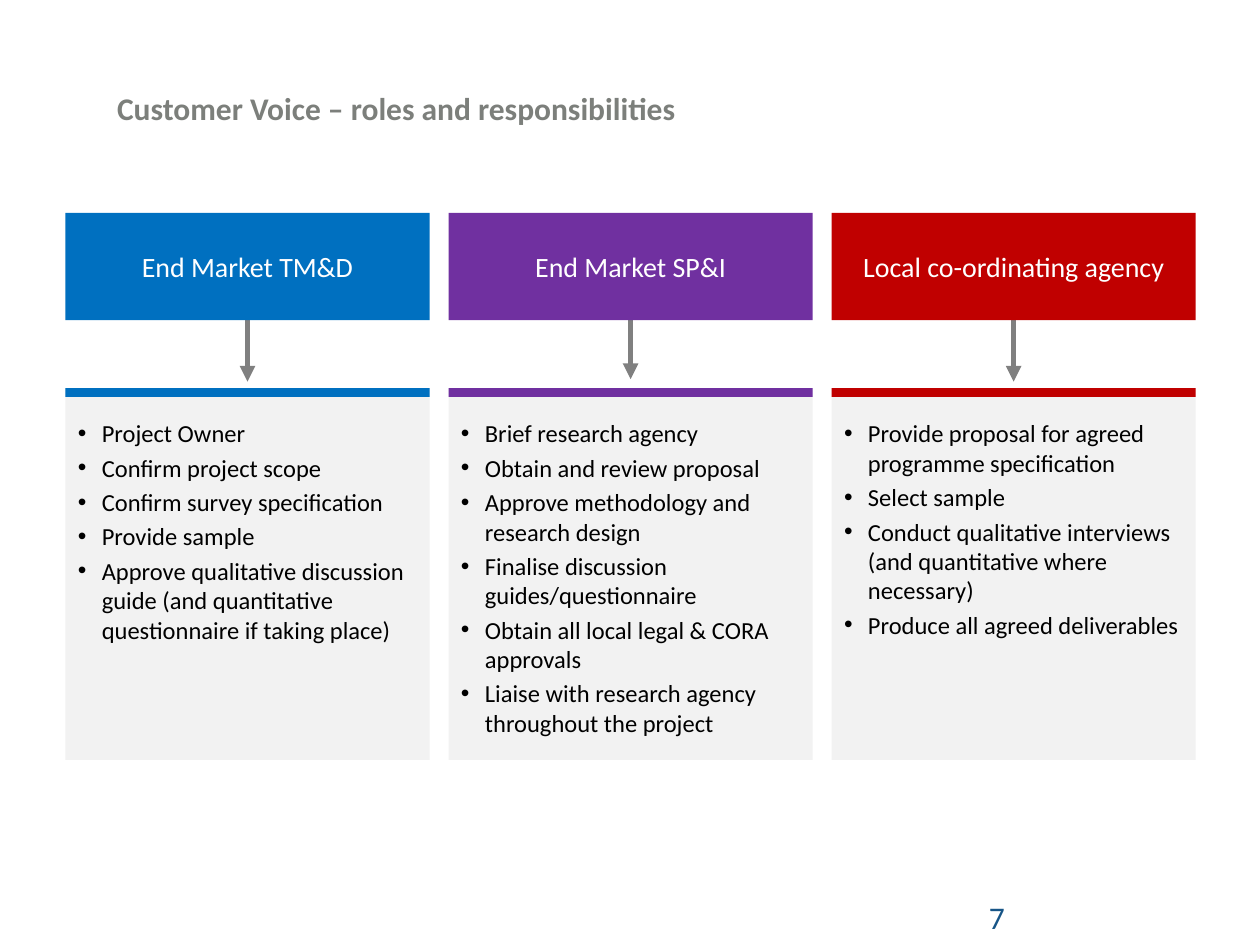
from lxml import etree
from pptx import Presentation
from pptx.dml.color import RGBColor
from pptx.enum import shapes, text
from pptx.oxml.ns import qn
from pptx.util import Pt

BLUE = RGBColor(0x00, 0x70, 0xC0)
PURPLE = RGBColor(0x70, 0x30, 0xA0)
RED = RGBColor(0xC0, 0x00, 0x00)
PANEL = RGBColor(0xF2, 0xF2, 0xF2)
ARROW = RGBColor(0x80, 0x80, 0x80)
TITLE = RGBColor(0x7C, 0x7F, 0x7B)
NUMBER = RGBColor(0x17, 0x55, 0x87)
WHITE = RGBColor(0xFF, 0xFF, 0xFF)
BLACK = RGBColor(0x00, 0x00, 0x00)

# Column grid, in points
LEFT, PITCH, WIDTH = 37.4, 218.9, 208.1
HEAD_TOP, HEAD_H = 121.7, 61.2
PANEL_TOP, PANEL_H, STRIPE_H = 221.8, 212.4, 5
ARROW_H, INDENT = 36.7, 13.7

# Heading, colour, arrow top, duties
ROLES = [
    ("End Market TM&D", BLUE, 181.4, [
        "Project Owner",
        "Confirm project scope",
        "Confirm survey specification",
        "Provide sample",
        "Approve qualitative discussion guide (and quantitative "
        "questionnaire if taking place)"]),
    ("End Market SP&I", PURPLE, 180, [
        "Brief research agency",
        "Obtain and review proposal",
        "Approve methodology and research design",
        "Finalise discussion guides/questionnaire",
        "Obtain all local legal & CORA approvals",
        "Liaise with research agency throughout the project"]),
    ("Local co-ordinating agency", RED, 181.4, [
        "Provide proposal for agreed programme specification",
        "Select sample",
        "Conduct qualitative interviews (and quantitative where necessary)",
        "Produce all agreed deliverables"]),
]


def apply(obj, **values):
    for name, value in values.items():
        setattr(obj, name, value)


def write(p, words, size, color, bold=False):
    r = p.add_run()
    r.text = words
    apply(r.font, name="Calibri", size=Pt(size), bold=bold)
    r.font.color.rgb = color


def add_rect(s, x, y, w, h, fill):
    sp = s.shapes.add_shape(shapes.MSO_SHAPE.RECTANGLE,
                            Pt(x), Pt(y), Pt(w), Pt(h))
    sp.shadow.inherit = False
    sp.fill.solid()
    sp.fill.fore_color.rgb = fill
    sp.line.fill.background()
    return sp


def add_label(s, x, y, w, h, words, color, bold=False,
              anchor=text.MSO_ANCHOR.TOP):
    tf = s.shapes.add_textbox(Pt(x), Pt(y), Pt(w), Pt(h)).text_frame
    apply(tf, word_wrap=True, vertical_anchor=anchor)
    write(tf.paragraphs[0], words, 18, color, bold)


def add_arrow(s, x, y, h):
    line = s.shapes.add_connector(shapes.MSO_CONNECTOR.STRAIGHT,
                                  Pt(x), Pt(y), Pt(x), Pt(y + h))
    line.line.color.rgb = ARROW
    line.line.width = Pt(3)
    etree.SubElement(line.line._get_or_add_ln(), qn("a:tailEnd"),
                     type="triangle")
    etree.SubElement(line._element.spPr, qn("a:effectLst"))


def add_heading(s, x, words, fill):
    sp = add_rect(s, x, HEAD_TOP, WIDTH, HEAD_H, fill)
    tf = sp.text_frame
    apply(tf, word_wrap=True, vertical_anchor=text.MSO_ANCHOR.MIDDLE)
    p = tf.paragraphs[0]
    p.alignment = text.PP_ALIGN.CENTER
    write(p, words, 16, WHITE)


def add_duties(s, x, duties):
    tf = add_rect(s, x, PANEL_TOP, WIDTH, PANEL_H, PANEL).text_frame
    apply(tf, word_wrap=True, vertical_anchor=text.MSO_ANCHOR.TOP,
          margin_left=Pt(7.2), margin_right=Pt(7.2),
          margin_top=Pt(17.3), margin_bottom=Pt(3.6))
    for i, duty in enumerate(duties):
        p = tf.add_paragraph() if i else tf.paragraphs[0]
        apply(p, alignment=text.PP_ALIGN.LEFT, space_before=Pt(2.8))
        pPr = p._p.get_or_add_pPr()
        pPr.set("marL", str(Pt(INDENT)))
        pPr.set("indent", str(-Pt(INDENT)))
        etree.SubElement(pPr, qn("a:buFont"), typeface="Arial")
        etree.SubElement(pPr, qn("a:buChar"), char="•")
        write(p, duty, 14, BLACK)


def main():
    prs = Presentation()
    apply(prs, slide_width=Pt(720), slide_height=Pt(540))
    s = prs.slides.add_slide(prs.slide_layouts[6])

    # Title
    add_label(s, 59.8, 36, 498.2, 51.1,
              "Customer Voice – roles and responsibilities", TITLE,
              bold=True, anchor=text.MSO_ANCHOR.MIDDLE)

    # One column per role
    for i, (role, color, arrow_top, duties) in enumerate(ROLES):
        x = LEFT + i * PITCH
        add_arrow(s, x + WIDTH / 2, arrow_top, ARROW_H)
        add_heading(s, x, role, color)
        add_duties(s, x, duties)
        add_rect(s, x, PANEL_TOP, WIDTH, STRIPE_H, color)

    # Page number
    add_label(s, 558, 509.8, 149.8, 18, "7", NUMBER)

    prs.save("out.pptx")


main()
